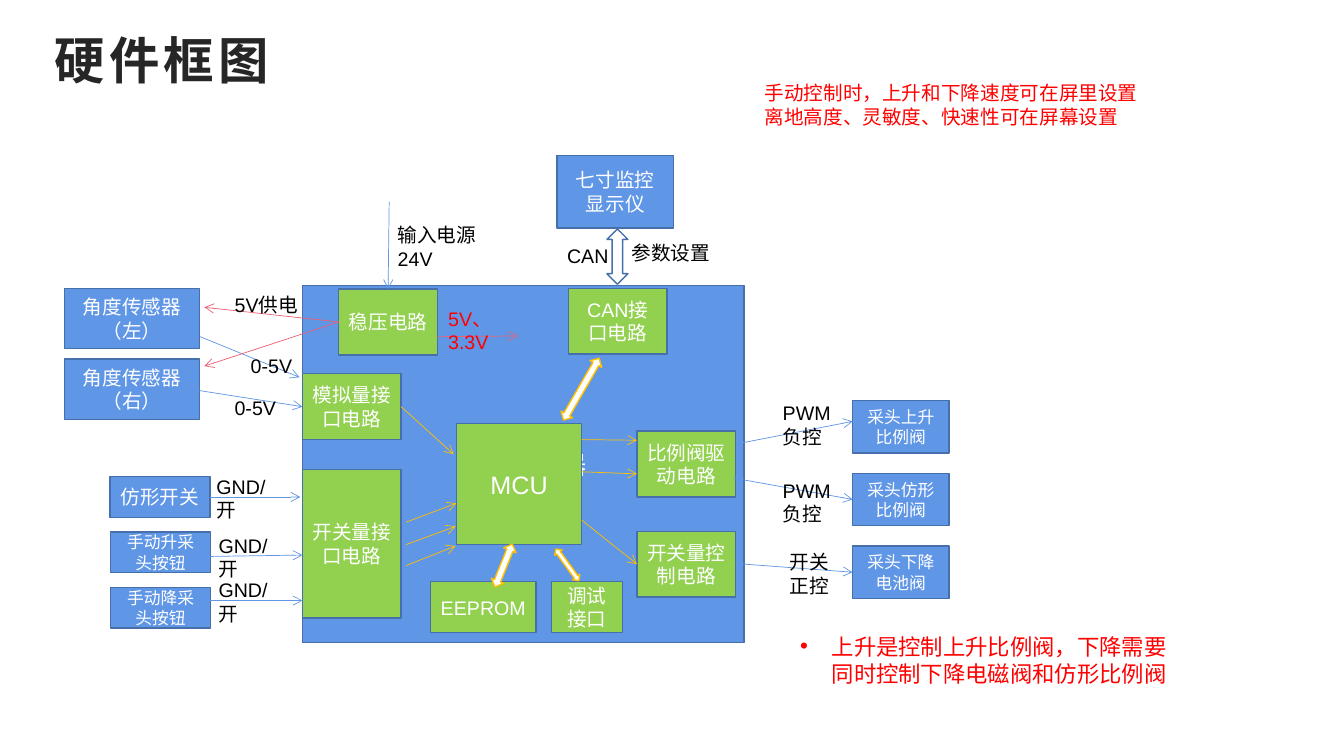
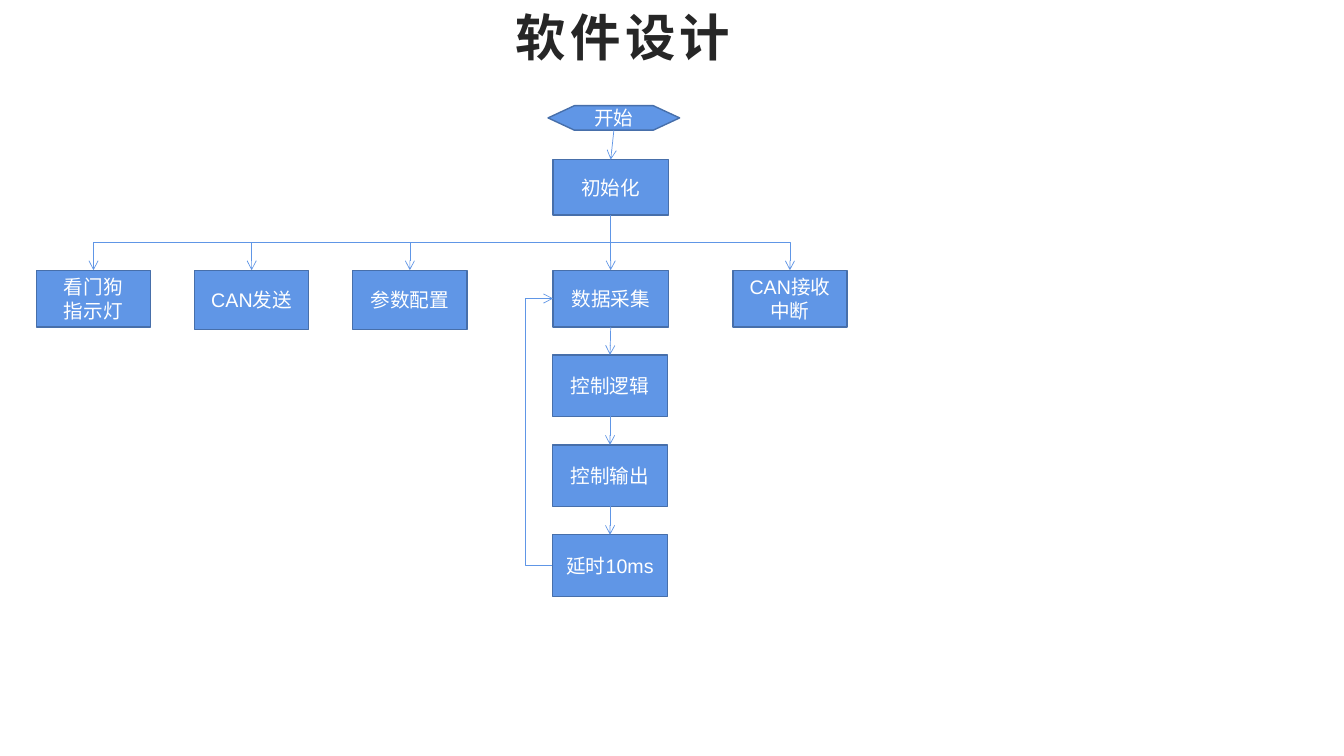
"""Build a hardware block diagram and a software flow chart for a controller."""
from lxml import etree
from pptx import Presentation
from pptx.dml.color import RGBColor
from pptx.enum.shapes import MSO_CONNECTOR, MSO_SHAPE
from pptx.enum.text import MSO_ANCHOR, PP_ALIGN
from pptx.oxml.ns import qn
from pptx.util import Pt

RECTANGLE = MSO_SHAPE.RECTANGLE
HEXAGON = MSO_SHAPE.FLOWCHART_PREPARATION
DOUBLE_ARROW = MSO_SHAPE.UP_DOWN_ARROW
STRAIGHT = MSO_CONNECTOR.STRAIGHT
ELBOW = MSO_CONNECTOR.ELBOW
LEFT, CENTER = PP_ALIGN.LEFT, PP_ALIGN.CENTER
TOP, MIDDLE = MSO_ANCHOR.TOP, MSO_ANCHOR.MIDDLE

FONT = "Arial"
BLUE, EDGE, GREEN = "6096E6", "476FAA", "92D050"
PINK, ORANGE, RED = "EC5F74", "FFC000", "FF0000"
WHITE, BLACK, DARK = "FFFFFF", "000000", "262626"
TITLE = dict(size=36, color=DARK, bold=True, spacing=3, anchor=MIDDLE)
BLOCK = dict(kind=RECTANGLE, fill=BLUE, color=WHITE, align=CENTER, anchor=MIDDLE)
CIRCUIT = dict(BLOCK, fill=GREEN)
ARROW = dict(kind=DOUBLE_ARROW, fill=WHITE)


def add_box(page, text, frame, kind=None, fill=None, line=EDGE, size=14, color=BLACK,
            bold=False, spacing=0, align=LEFT, anchor=TOP, wrap=True, bullet=False):
    """Add a text box, or a preset shape when a kind is given."""
    frame = [Pt(value) for value in frame]
    if kind is None:
        box = page.shapes.add_textbox(*frame)
    else:
        box = page.shapes.add_shape(kind, *frame)
        box.shadow.inherit = False
        box.fill.solid()
        box.fill.fore_color.rgb = RGBColor.from_string(fill)
        box.line.color.rgb = RGBColor.from_string(line)
        box.line.width = Pt(1)
    body = box.text_frame
    body.word_wrap = wrap
    body.vertical_anchor = anchor
    for index, words in enumerate(text.split("\n") if text else []):
        para = body.add_paragraph() if index else body.paragraphs[0]
        para.alignment = align
        if bullet:
            props = para._p.get_or_add_pPr()
            props.set("marL", str(Pt(22.5)))
            props.set("indent", str(Pt(-22.5)))
            etree.SubElement(props, qn("a:buFont"), typeface=FONT)
            etree.SubElement(props, qn("a:buChar"), char="•")
        span = para.add_run()
        span.text = words
        span.font.name = FONT
        span.font.size = Pt(size)
        span.font.bold = bold
        span.font.color.rgb = RGBColor.from_string(color)
        if spacing:
            span._r.get_or_add_rPr().set("spc", str(spacing * 100))
    return box


def add_arrow(page, blocks, start, end, color=BLUE, kind=STRAIGHT):
    """Add an arrow between ends given as (x, y) or as (block name, side)."""
    joined = [isinstance(tip[0], str) for tip in (start, end)]
    first, last = [(0, 0) if join else (Pt(tip[0]), Pt(tip[1]))
                   for tip, join in zip((start, end), joined)]
    link = page.shapes.add_connector(kind, *first, *last)
    if joined[0]:
        link.begin_connect(blocks[start[0]], start[1])
    if joined[1]:
        link.end_connect(blocks[end[0]], end[1])
    link.line.color.rgb = RGBColor.from_string(color)
    link.line.width = Pt(0.5)
    props = link._element.spPr
    etree.SubElement(props.find(qn("a:ln")), qn("a:tailEnd"), type="arrow")
    etree.SubElement(props, qn("a:effectLst"))
    return link


deck = Presentation()
deck.slide_width, deck.slide_height = Pt(960), Pt(540)
blank = deck.slide_layouts[6]

page = deck.slides.add_slide(blank)
add_box(page, "硬件框图", (32, 15, 864, 55.5), **TITLE)
add_box(page, "仿形控制器", (216, 204, 315.5, 255), size=18, **BLOCK)

hardware = {}
for name, frame, size in [
    ("角度传感器（左）", (46, 206, 96.5, 43), 14),
    ("角度传感器（右）", (46, 256.5, 96.5, 43), 14),
    ("七寸监控显示仪", (398, 111, 83, 52), 14),
    ("仿形开关", (78.5, 340.5, 71.5, 29), 14),
    ("手动升采头按钮", (79, 380, 71.5, 29), 12),
    ("手动降采头按钮", (79, 419.5, 71.5, 29), 12),
    ("采头上升比例阀", (609, 286, 69, 37.5), 12),
    ("采头仿形比例阀", (609, 338, 69, 37.5), 12),
    ("采头下降电池阀", (609, 390, 69, 37.5), 12),
]:
    hardware[name] = add_box(page, name, frame, size=size, **BLOCK)
for name, frame, size in [
    ("稳压电路", (242, 206.5, 70.5, 47), 14),
    ("CAN接口电路", (406, 206, 70.5, 47), 14),
    ("模拟量接口电路", (216, 267, 70.5, 47), 14),
    ("开关量接口电路", (216, 335.5, 70.5, 106), 14),
    ("MCU", (326, 302.5, 89.5, 86.5), 18),
    ("比例阀驱动电路", (455, 308, 70.5, 47), 14),
    ("开关量控制电路", (455, 379.5, 70.5, 47), 14),
    ("EEPROM", (307.5, 415.5, 75.5, 36.5), 14),
    ("调试接口", (394, 415.5, 50.5, 36.5), 14),
]:
    hardware[name] = add_box(page, name, frame, size=size, **CIRCUIT)

for frame, angle, line in [
    ((433.5, 163.5, 15, 39.5), 0, EDGE),
    ((410.5, 252.5, 9.5, 51), 30, ORANGE),
    ((355, 387.5, 9.5, 33), 22, ORANGE),
    ((402, 389.5, 6.5, 28), 324, ORANGE),
]:
    add_box(page, "", frame, line=line, **ARROW).rotation = angle

for color, routes in {
    BLUE: [
        ((143, 240.5), (214, 269.5)),
        ((142.5, 279), ("模拟量接口电路", 1)),
        (("仿形开关", 3), (214.5, 355)),
        ((149, 397.5), (216, 396.5)),
        ((149, 429), (216, 429)),
        ((526.5, 317), (609, 301)),
        ((524, 341.5), ("采头仿形比例阀", 1)),
        ((525.5, 402.5), ("采头下降电池阀", 1)),
        ((278, 144), ("稳压电路", 0)),
    ],
    PINK: [
        (("稳压电路", 1), (146, 219.5)),
        (("稳压电路", 1), (146, 261.5)),
        ((312, 240.5), (370, 240)),
    ],
    ORANGE: [
        (("模拟量接口电路", 3), (324, 324.5)),
        ((290, 373), (326, 359.5)),
        ((290, 389), (325.5, 376)),
        ((290, 404), (325.5, 390)),
        ((415.5, 314), (455, 314.5)),
        ((415.5, 337), (455, 338.5)),
        ((415.5, 371.5), ("开关量控制电路", 1)),
    ],
}.items():
    for start, end in routes:
        add_arrow(page, hardware, start, end, color)

for text, frame, wrap, color in [
    ("参数设置", (444, 168.5, 70.5, 24.5), False, BLACK),
    ("CAN", (398, 170.5, 44, 24.5), False, BLACK),
    ("输入电源\n24V", (277, 156, 70.5, 41), False, BLACK),
    ("5V供电", (160.5, 206, 60, 24.5), True, BLACK),
    ("0-5V", (172, 249, 44, 24.5), False, BLACK),
    ("0-5V", (160.5, 279, 44, 24.5), False, BLACK),
    ("GND/开", (147.5, 335.5, 63, 24.5), True, BLACK),
    ("GND/开", (149, 377.5, 63, 24.5), True, BLACK),
    ("GND/开", (149, 409.5, 63, 24.5), True, BLACK),
    ("PWM\n负控", (552, 283, 49, 41), False, BLACK),
    ("PWM\n负控", (552, 338.5, 49, 41), False, BLACK),
    ("开关\n正控", (557, 389.5, 42.5, 41), False, BLACK),
    ("5V、3.3V", (313, 215.5, 62, 24.5), True, RED),
    ("手动控制时，上升和下降速度可在屏里设置\n离地高度、灵敏度、快速性可在屏幕设置",
     (539, 54.5, 289, 41), True, RED),
]:
    add_box(page, text, frame, wrap=wrap, color=color)
add_box(page, "上升是控制上升比例阀，下降需要同时控制下降电磁阀和仿形比例阀",
        (564.5, 448.5, 278, 46), size=16, color=RED, bullet=True)

page = deck.slides.add_slide(blank)
add_box(page, "软件设计", (361.5, -2, 186, 55.5), **TITLE)
software = {"开始": add_box(page, "开始", (391.5, 75.5, 94, 17.5), **dict(BLOCK, kind=HEXAGON))}
for name, frame in [
    ("初始化", (395, 114, 82.5, 39.5)),
    ("数据采集", (395, 193, 82.5, 40.5)),
    ("控制逻辑", (394.5, 253.5, 82.5, 44)),
    ("控制输出", (394.5, 317.75, 82.5, 44)),
    ("延时10ms", (394.5, 382, 82.5, 44)),
    ("看门狗\n指示灯", (26, 193, 81.5, 40.5)),
    ("CAN发送", (139, 193, 81.5, 42.5)),
    ("参数配置", (252, 193, 81.5, 42.5)),
    ("CAN接收中断", (523.5, 193, 81.5, 40.5)),
]:
    software[name] = add_box(page, name, frame, **BLOCK)

steps = ["开始", "初始化", "数据采集", "控制逻辑", "控制输出", "延时10ms"]
for above, below in zip(steps, steps[1:]):
    add_arrow(page, software, (above, 2), (below, 0))

for task in ["看门狗\n指示灯", "CAN发送", "参数配置", "CAN接收中断"]:
    branch = add_arrow(page, software, ("初始化", 2), (task, 0), kind=ELBOW)
    across, down = branch.end_x - branch.begin_x, branch.end_y - branch.begin_y
    middle_x = (branch.begin_x + branch.end_x) // 2
    middle_y = (branch.begin_y + branch.end_y) // 2
    branch.begin_x, branch.end_x = middle_x - down // 2, middle_x + down // 2
    branch.begin_y, branch.end_y = middle_y + across // 2, middle_y - across // 2
    branch._element.spPr.find(qn("a:xfrm")).set("rot", str(90 * 60000))

loop = add_arrow(page, software, ("延时10ms", 1), ("数据采集", 1), kind=ELBOW)
guides = loop._element.spPr.find(qn("a:prstGeom")).find(qn("a:avLst"))
etree.SubElement(guides, qn("a:gd"), name="adj1", fmla="val -3720000")

deck.save("out.pptx")
